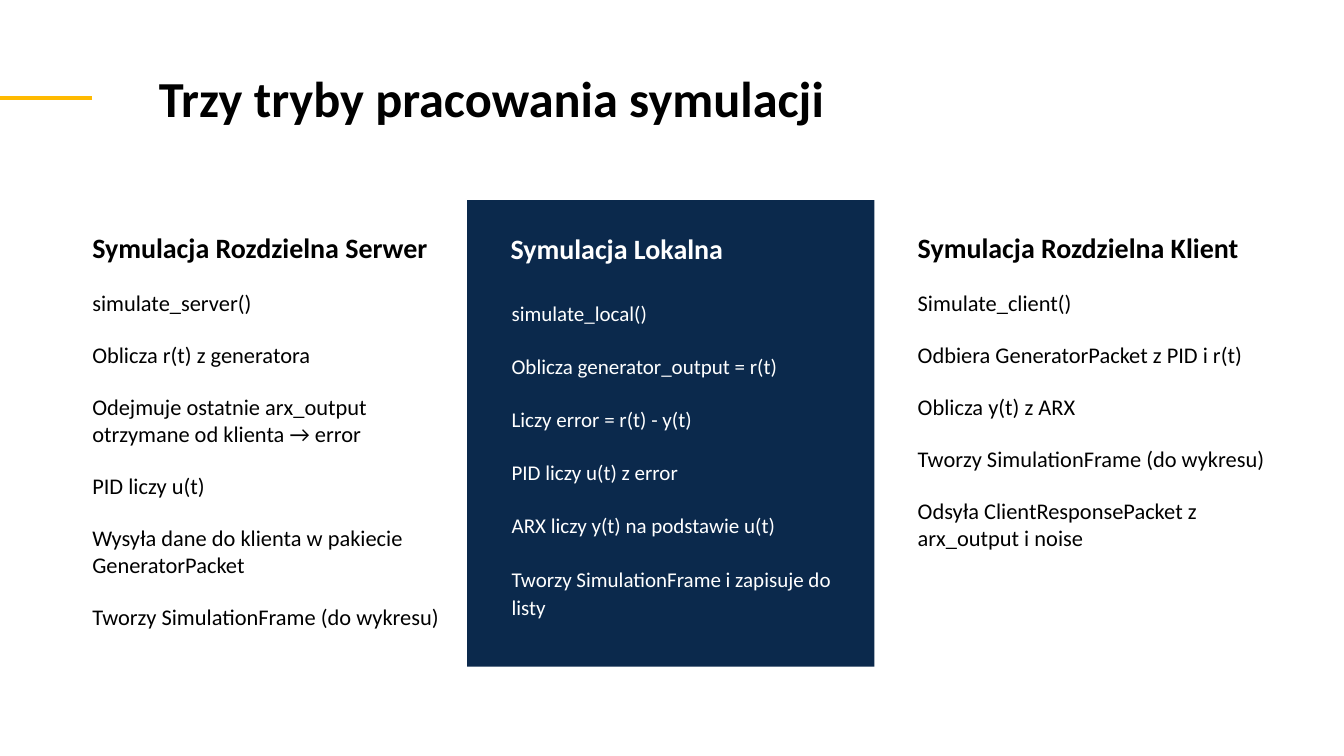
from lxml import etree
from pptx import Presentation
from pptx.dml.color import RGBColor
from pptx.enum import shapes, text
from pptx.oxml.ns import qn
from pptx.util import Pt

BLACK = RGBColor(0x00, 0x00, 0x00)
WHITE = RGBColor(0xFF, 0xFF, 0xFF)
NAVY = RGBColor(0x0B, 0x29, 0x4C)
AMBER = RGBColor(0xFF, 0xBA, 0x00)

HEADING = {"size": Pt(40), "bold": True}
BODY = {"size": Pt(32), "bold": False}
PANEL_BODY = {"size": Pt(30), "bold": False}
STEP_SPACING = {"space_after": Pt(36)}
PANEL_SPACING = {"space_after": Pt(36), "line_spacing": Pt(40)}

SERVER_STEPS = [
    "simulate_server()",
    "Oblicza r(t) z generatora",
    "Odejmuje ostatnie arx_output otrzymane od klienta → error",
    "PID liczy u(t)",
    "Wysyła dane do klienta w pakiecie GeneratorPacket",
    "Tworzy SimulationFrame (do wykresu)",
]
LOCAL_STEPS = [
    "simulate_local()",
    "Oblicza generator_output = r(t)",
    "Liczy error = r(t) - y(t)",
    "PID liczy u(t) z error",
    "ARX liczy y(t) na podstawie u(t)",
    "Tworzy SimulationFrame i zapisuje do listy",
]
CLIENT_STEPS = [
    "Simulate_client()",
    "Odbiera GeneratorPacket z PID i r(t)",
    "Oblicza y(t) z ARX",
    "Tworzy SimulationFrame (do wykresu)",
    "Odsyła ClientResponsePacket z arx_output i noise",
]


def set_attributes(target, values):
    for name, value in values.items():
        setattr(target, name, value)


def add_text(slide, box, lines, color, spacing):
    """Place (wording, font format) lines as paragraphs in one text box."""
    frame = slide.shapes.add_textbox(*map(Pt, box)).text_frame
    set_attributes(frame, {
        "word_wrap": True, "auto_size": text.MSO_AUTO_SIZE.NONE,
        "margin_left": 0, "margin_top": 0, "margin_right": 0, "margin_bottom": 0,
    })
    for index, (wording, font_format) in enumerate(lines):
        paragraph = frame.add_paragraph() if index else frame.paragraphs[0]
        set_attributes(paragraph, spacing)
        run = paragraph.add_run()
        run.text = wording
        set_attributes(run.font, {"name": "Calibri", **font_format})
        run.font.color.rgb = color


def add_header(slide, box, title):
    """Draw the accent line from the left edge of the box, then the title."""
    left, top, width, height = box
    line_y = top + 43.2
    line = slide.shapes.add_connector(
        shapes.MSO_CONNECTOR.STRAIGHT,
        Pt(left + 131.8), Pt(line_y), Pt(left), Pt(line_y))
    line.line.color.rgb = AMBER
    line.line.width = Pt(6)
    etree.SubElement(line._element.spPr, qn("a:effectLst"))
    title_box = (left + 226.8, top, width - 226.8, height)
    add_text(slide, title_box, [(title, {"size": Pt(72), "bold": True})], BLACK, {})


def add_plain_mode(slide, box, heading, steps):
    lines = [(heading, HEADING)] + [(step, BODY) for step in steps]
    add_text(slide, box, lines, BLACK, STEP_SPACING)


def add_highlighted_mode(slide, box, heading, steps):
    left, top, width, height = box
    panel = slide.shapes.add_shape(shapes.MSO_SHAPE.RECTANGLE, *map(Pt, box))
    panel.shadow.inherit = False
    panel.fill.solid()
    panel.fill.fore_color.rgb = NAVY
    panel.line.fill.background()

    text_left, text_width = left + 63, 458.6
    add_text(slide, (text_left + 0.5, top + 139, text_width, height - 139),
             [(step, PANEL_BODY) for step in steps], WHITE, PANEL_SPACING)
    add_text(slide, (text_left - 1, top + 45.4, text_width, 48.2),
             [(heading, HEADING)], WHITE, {})


def main():
    presentation = Presentation()
    presentation.slide_width, presentation.slide_height = Pt(1920), Pt(1080)
    slide = presentation.slides.add_slide(presentation.slide_layouts[6])

    add_header(slide, (0, 96.5, 1188, 87), "Trzy tryby pracowania symulacji")
    add_plain_mode(slide, (1311, 329, 506, 463),
                   "Symulacja Rozdzielna Klient", CLIENT_STEPS)
    add_highlighted_mode(slide, (667.4, 285.8, 581.8, 666.7),
                         "Symulacja Lokalna", LOCAL_STEPS)
    add_plain_mode(slide, (131.8, 329, 507.6, 740),
                   "Symulacja Rozdzielna Serwer", SERVER_STEPS)
    presentation.save("out.pptx")


if __name__ == "__main__":
    main()
